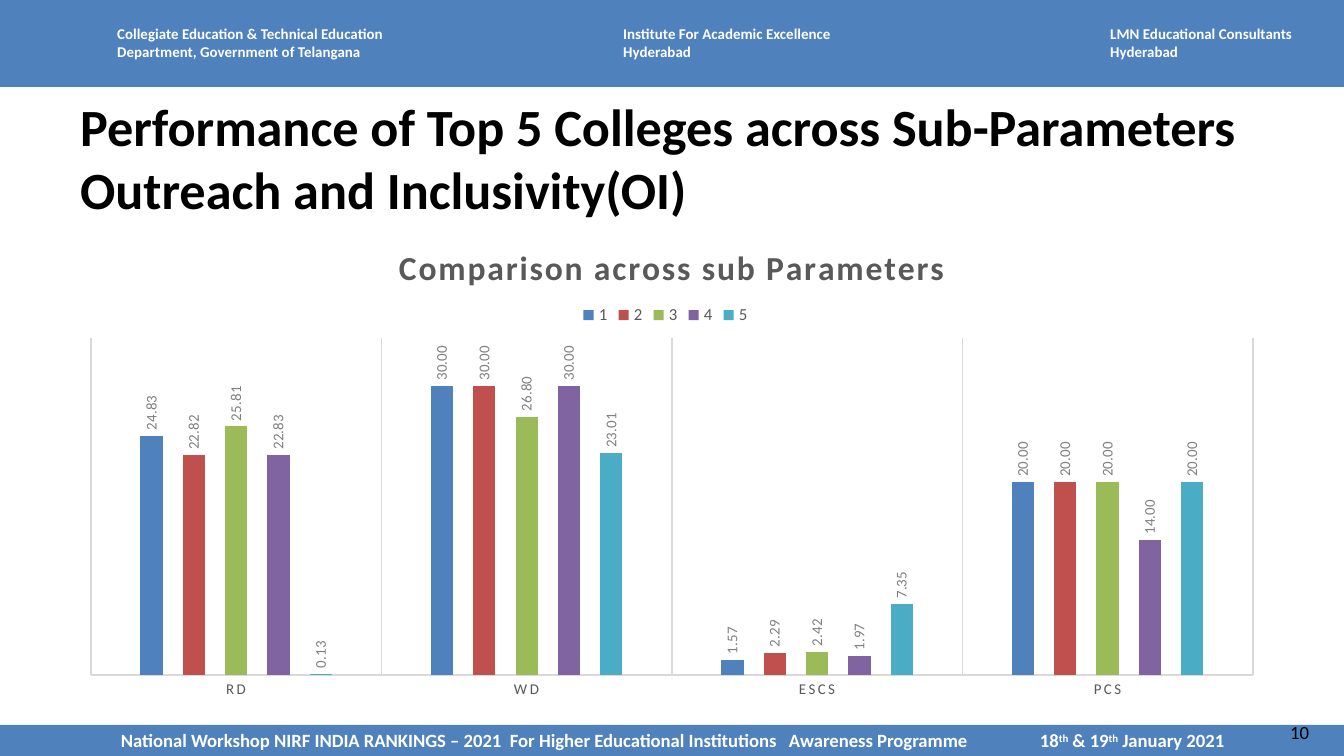
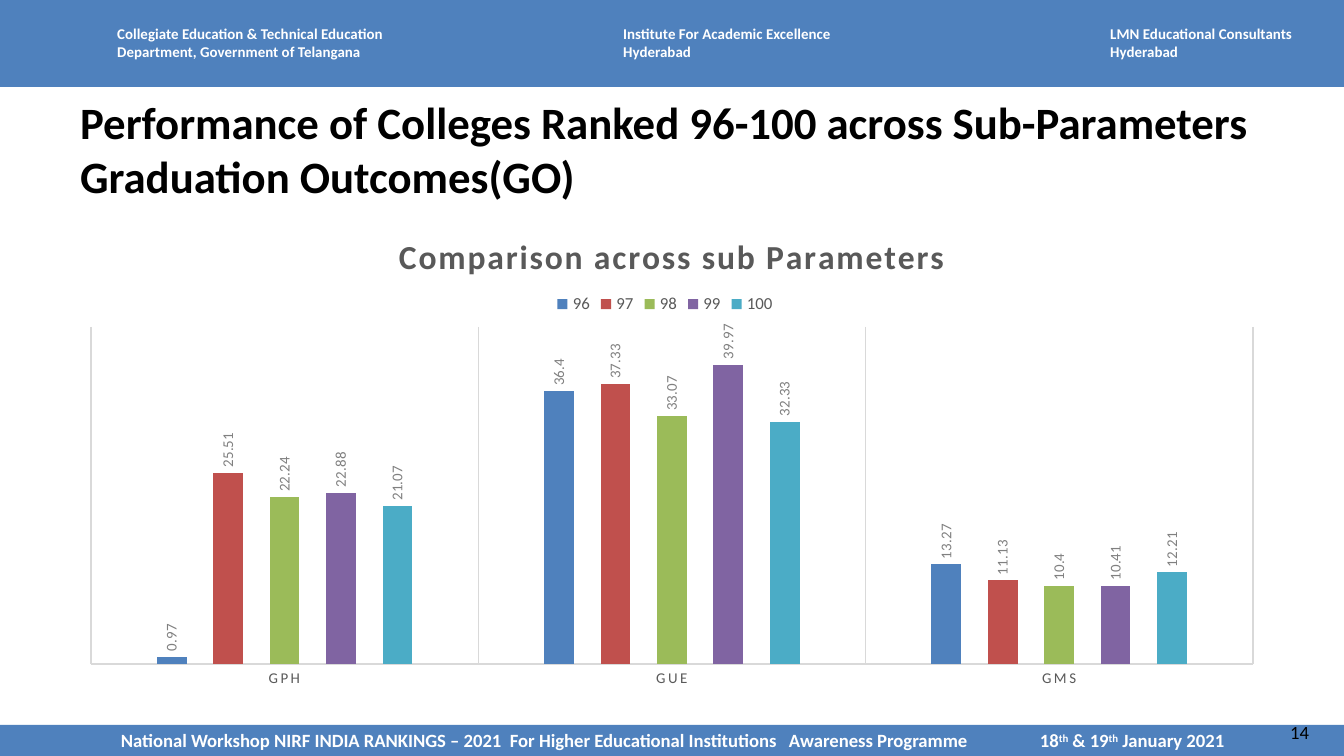
"""Build two slides comparing colleges across ranking sub-parameters."""
from pptx import Presentation
from pptx.chart.data import CategoryChartData
from pptx.dml.color import RGBColor
from pptx.enum.chart import XL_CHART_TYPE, XL_LABEL_POSITION, XL_LEGEND_POSITION, XL_TICK_MARK
from pptx.enum.shapes import MSO_SHAPE
from pptx.enum.text import MSO_ANCHOR
from pptx.oxml import parse_xml
from pptx.oxml.ns import nsdecls, qn
from pptx.oxml.xmlchemy import OxmlElement
from pptx.util import Pt

SCALE = 914400 / 134.4
WIDTH, HEIGHT = 1344, 756
FONT = "Calibri"
COLORS = {"band": "4F81BD", "white": "FFFFFF", "title": "000000",
          "muted": "595959", "label": "808080", "rule": "D9D9D9"}
SERIES_COLORS = ["4F81BD", "C0504D", "9BBB59", "8064A2", "4BACC6"]

HOSTS = [
    (104, 310, ["Collegiate Education & Technical Education", "Department, Government of Telangana"]),
    (610, 240, ["Institute For Academic Excellence", "Hyderabad"]),
    (1097, 226, ["LMN Educational Consultants", "Hyderabad"]),
]
FOOTER = [
    (121, [("National Workshop NIRF INDIA RANKINGS – 2021", False)]),
    (510, [("For Higher Educational Institutions", False)]),
    (789, [("Awareness Programme", False)]),
    (1040, [("18", False), ("th", True), (" & 19", False), ("th", True), (" January 2021", False)]),
]
CHART_TITLE = "Comparison across sub Parameters"
SLIDES = [
    {"number": "10", "size": 28, "top": 210, "legend_left": 578, "maximum": 35, "format": "0.00",
     "title": "Performance of Top 5 Colleges across Sub-Parameters Outreach and Inclusivity(OI)",
     "parameters": ["RD", "WD", "ESCS", "PCS"],
     "scores": {"1": [24.83, 30, 1.57, 20], "2": [22.82, 30, 2.29, 20],
                "3": [25.81, 26.8, 2.42, 20], "4": [22.83, 30, 1.97, 14],
                "5": [0.13, 23.01, 7.35, 20]}},
    {"number": "14", "size": 24, "top": 199, "legend_left": 552, "maximum": 45, "format": "General",
     "title": "Performance of Colleges Ranked 96-100 across Sub-Parameters Graduation Outcomes(GO)",
     "parameters": ["GPH", "GUE", "GMS"],
     "scores": {"96": [0.97, 36.4, 13.27], "97": [25.51, 37.33, 11.13],
                "98": [22.24, 33.07, 10.4], "99": [22.88, 39.97, 10.41],
                "100": [21.07, 32.33, 12.21]}},
]
CHART_LEFT, CHART_WIDTH, CHART_HEIGHT = 67, 1210, 499


def px(value):
    return round(value * SCALE)


def rgb(name):
    return RGBColor.from_string(COLORS.get(name, name))


def style(font, size, color, bold=False):
    font.name, font.size, font.bold = FONT, Pt(size), bold
    font.color.rgb = rgb(color)


def add_text(slide, box, lines, size, color, bold=False):
    frame = slide.shapes.add_textbox(*map(px, box)).text_frame
    frame.word_wrap = True
    frame.text = "\n".join(lines)
    for paragraph in frame.paragraphs:
        style(paragraph.font, size, color, bold)


def add_band(slide, top, height):
    band = slide.shapes.add_shape(MSO_SHAPE.RECTANGLE, 0, px(top), px(WIDTH), px(height))
    band.shadow.inherit = False
    band.fill.solid()
    band.fill.fore_color.rgb = rgb("band")
    band.line.fill.background()
    return band


def add_footer(slide):
    frame = add_band(slide, 725, 31).text_frame
    start = FOOTER[0][0]
    frame.margin_left, frame.margin_right = px(start), 0
    frame.margin_top = frame.margin_bottom = 0
    frame.vertical_anchor = MSO_ANCHOR.MIDDLE
    line = frame.paragraphs[0]
    style(line.font, 10, "white", True)
    properties = line._p.get_or_add_pPr()
    properties.set("algn", "l")
    stops = OxmlElement("a:tabLst")
    for left, _ in FOOTER[1:]:
        stop = OxmlElement("a:tab")
        stop.set("pos", str(px(left - start)))
        stop.set("algn", "l")
        stops.append(stop)
    properties.insert(0, stops)
    for left, pieces in FOOTER:
        for index, (words, raised) in enumerate(pieces):
            run = line.add_run()
            run.text = ("\t" if left > start and index == 0 else "") + words
            if raised:
                run.font._element.set("baseline", "30000")


def place(part, left, top, width=None, height=None):
    for old in part.findall(qn("c:layout")):
        part.remove(old)
    sizes = [("x", left / CHART_WIDTH), ("y", top / CHART_HEIGHT)]
    target = ""
    if width:
        target = '<c:layoutTarget val="inner"/>'
        sizes += [("w", width / CHART_WIDTH), ("h", height / CHART_HEIGHT)]
    modes = '<c:xMode val="edge"/><c:yMode val="edge"/>'
    values = "".join(f'<c:{key} val="{value:.4f}"/>' for key, value in sizes)
    layout = parse_xml(f'<c:layout {nsdecls("c")}><c:manualLayout>{target}{modes}{values}'
                       '</c:manualLayout></c:layout>')
    overlay = part.find(qn("c:overlay"))
    part.insert(0 if overlay is None else part.index(overlay), layout)


def add_comparison(slide, content):
    data = CategoryChartData(number_format=content["format"])
    data.categories = content["parameters"]
    for rank, scores in content["scores"].items():
        data.add_series(rank, scores)
    box = (CHART_LEFT, content["top"], CHART_WIDTH, CHART_HEIGHT)
    chart = slide.shapes.add_chart(XL_CHART_TYPE.COLUMN_CLUSTERED, *map(px, box), data).chart
    style(chart.font, 10, "title")

    chart.has_title = True
    chart.chart_title.text_frame.text = CHART_TITLE
    heading = chart.chart_title.text_frame.paragraphs[0]
    style(heading.font, 18, "muted", True)
    heading.font._element.set("spc", "100")
    place(chart.chart_title._element, 326, 28)

    chart.has_legend = True
    chart.legend.position = XL_LEGEND_POSITION.TOP
    chart.legend.include_in_layout = False
    style(chart.legend.font, 9, "muted")
    place(chart.legend._element, content["legend_left"] - CHART_LEFT, 90)

    parameters, scale = chart.category_axis, chart.value_axis
    parameters.major_tick_mark = parameters.minor_tick_mark = XL_TICK_MARK.NONE
    parameters.has_major_gridlines = True
    for rule in (parameters.format.line, parameters.major_gridlines.format.line):
        rule.color.rgb = rgb("rule")
        rule.width = Pt(0.75)
    style(parameters.tick_labels.font, 8, "muted")
    parameters.tick_labels.font._element.set("spc", "120")
    scale.visible = scale.has_major_gridlines = False
    scale.minimum_scale, scale.maximum_scale = 0, content["maximum"]

    plot = chart.plots[0]
    plot.gap_width, plot.overlap, plot.vary_by_categories = 444, -90, False
    for series, color in zip(plot.series, SERIES_COLORS):
        series.format.fill.solid()
        series.format.fill.fore_color.rgb = rgb(color)
        labels = series.data_labels
        labels.show_value = True
        labels.position = XL_LABEL_POSITION.OUTSIDE_END
        labels.number_format = content["format"]
        labels.number_format_is_linked = False
        style(labels.font, 8, "label")
        turn = labels._element.find(qn("c:txPr")).find(qn("a:bodyPr"))
        turn.set("rot", "-5400000")
        turn.set("vert", "horz")
    place(chart._chartSpace.chart.plotArea, 24, 128, 1162, 337)


deck = Presentation()
deck.slide_width, deck.slide_height = px(WIDTH), px(HEIGHT)
for content in SLIDES:
    slide = deck.slides.add_slide(deck.slide_layouts[6])
    add_band(slide, 0, 87)
    for left, width, lines in HOSTS:
        add_text(slide, (left, 18, width, 50), lines, 8, "white", True)
    add_footer(slide)
    add_text(slide, (1277, 714, 67, 36), [content["number"]], 10, "title")
    add_text(slide, (67, 88, 1210, 70), [content["title"]], content["size"], "title", True)
    add_comparison(slide, content)
deck.save("out.pptx")
